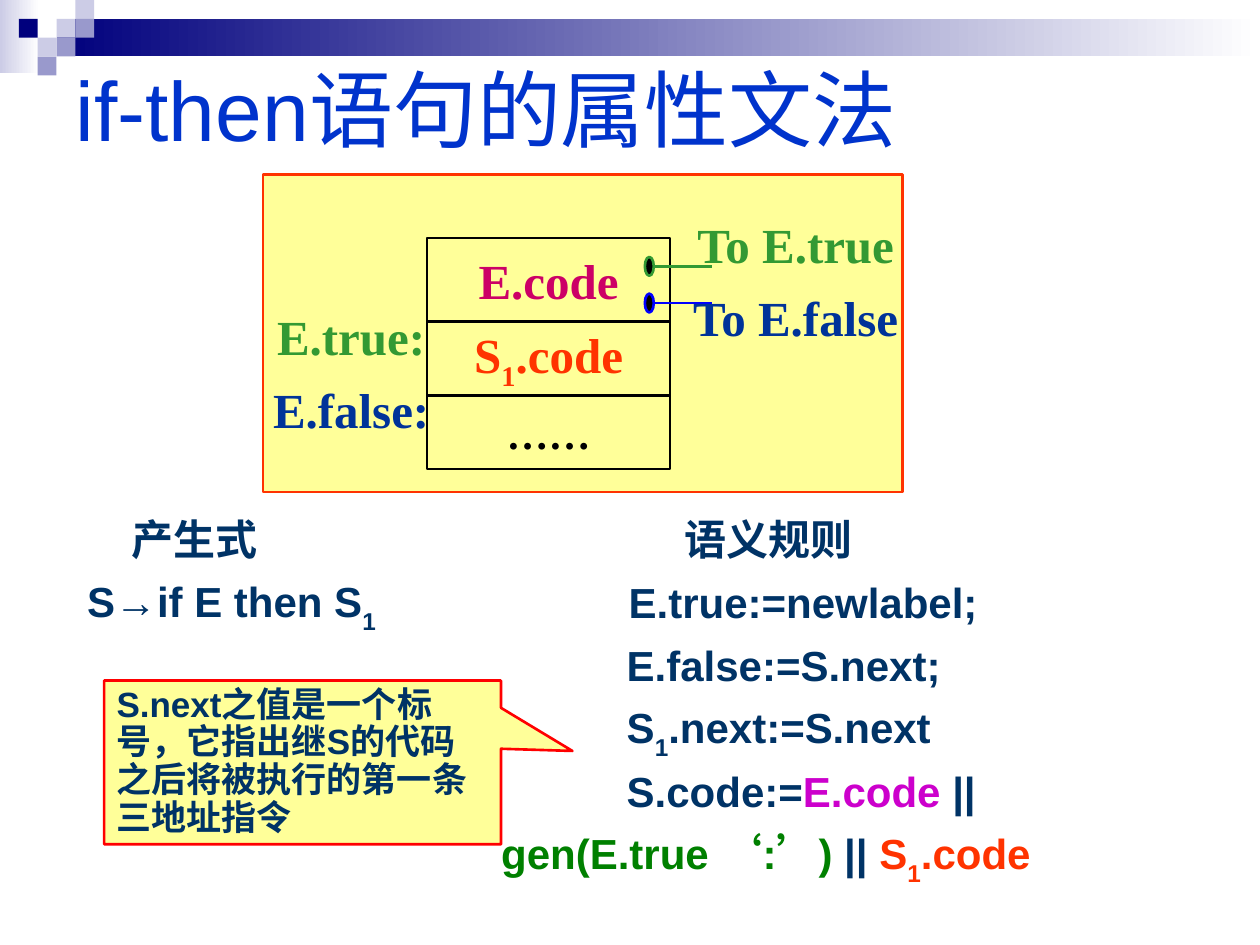
from lxml import etree
from pptx import Presentation
from pptx.dml.color import RGBColor
from pptx.enum.shapes import MSO_CONNECTOR, MSO_SHAPE
from pptx.enum.text import MSO_ANCHOR, MSO_AUTO_SIZE, PP_ALIGN
from pptx.oxml.ns import qn
from pptx.util import Cm, Pt

RECT, OVAL = MSO_SHAPE.RECTANGLE, MSO_SHAPE.OVAL
CALLOUT = MSO_SHAPE.RECTANGULAR_CALLOUT
STRAIGHT = MSO_CONNECTOR.STRAIGHT
TOP, MIDDLE = MSO_ANCHOR.TOP, MSO_ANCHOR.MIDDLE
LEFT, CENTER = PP_ALIGN.LEFT, PP_ALIGN.CENTER
NO_FIT = MSO_AUTO_SIZE.NONE

NAVY = RGBColor(0x00, 0x00, 0x7D)
LAVENDER = RGBColor(0xCC, 0xCC, 0xE6)
PERIWINKLE = RGBColor(0x99, 0x99, 0xCC)
WHITE = RGBColor(0xFF, 0xFF, 0xFF)
BLACK = RGBColor(0x00, 0x00, 0x00)
TITLE_BLUE = RGBColor(0x00, 0x33, 0xCC)
BODY_BLUE = RGBColor(0x00, 0x33, 0x66)
FALSE_BLUE = RGBColor(0x00, 0x33, 0x99)
JUMP_BLUE = RGBColor(0x00, 0x00, 0xFF)
TRUE_GREEN = RGBColor(0x33, 0x99, 0x33)
GEN_GREEN = RGBColor(0x00, 0x80, 0x00)
MAGENTA = RGBColor(0xCC, 0x00, 0xCC)
CRIMSON = RGBColor(0xCC, 0x00, 0x66)
ORANGE = RGBColor(0xFF, 0x33, 0x00)
RED = RGBColor(0xFF, 0x00, 0x00)
YELLOW = RGBColor(0xFF, 0xFF, 0x99)

SANS, SERIF, CJK = "Arial", "Times New Roman", "Noto Sans CJK SC"
BODY_FONT = {"name": SANS, "size": Pt(24), "bold": True}
NOTE_FONT = {"name": SANS, "size": Pt(20), "bold": True}
CODE_FONT = {"name": SERIF, "size": Pt(28), "bold": True}
DOTS_FONT = {"name": SERIF, "size": Pt(24), "bold": True}
TITLE_FONT = {"name": SANS, "size": Pt(48), "bold": False}
QUOTE_FONT = {"name": CJK}
SUB = {"baseline": -30}
SUB_LIFT = 4.5  # points by which a subscript raises its fixed-height line

# Each line is (indent in cm, runs); a run is (text, colour, format changes).
PRODUCTION = [
    (1.15, [("产生式", BODY_BLUE, {})]),
    (0.25, [("S→if E then S", BODY_BLUE, {}), ("1", BODY_BLUE, SUB)]),
]
RULES = [
    (3.7, [("语义规则", BODY_BLUE, {})]),
    (2.57, [("E.true:=newlabel;", BODY_BLUE, {})]),
    (2.53, [("E.false:=S.next;", BODY_BLUE, {})]),
    (2.53, [("S", BODY_BLUE, {}), ("1", BODY_BLUE, SUB),
            (".next:=S.next", BODY_BLUE, {})]),
    (2.53, [("S.code:=", BODY_BLUE, {}), ("E.code", MAGENTA, {}),
            (" ||", BODY_BLUE, {})]),
    (0, [("gen(E.true ", GEN_GREEN, {}), ("‘", GEN_GREEN, QUOTE_FONT),
         (":", GEN_GREEN, {}), ("’", GEN_GREEN, QUOTE_FONT),
         (")", GEN_GREEN, {}), (" || ", BODY_BLUE, {}), ("S", ORANGE, {}),
         ("1", ORANGE, SUB), (".code", ORANGE, {})]),
]


def set_values(target, values):
    for name, value in values.items():
        setattr(target, name, value)


def place(shape, left, top, width, height):
    set_values(shape, {"left": Cm(left), "top": Cm(top),
                       "width": Cm(width), "height": Cm(height)})


def add_runs(paragraph, runs, base_font):
    for text, color, changes in runs:
        run = paragraph.add_run()
        run.text = text
        values = {**base_font, **changes}
        baseline = values.pop("baseline", 0)
        set_values(run.font, values)
        run.font.color.rgb = color
        properties = run.font._element
        if baseline:
            properties.set("baseline", str(baseline * 1000))
        east_asian = SERIF if values["name"] == SERIF else CJK
        etree.SubElement(properties, qn("a:ea"), typeface=east_asian)


def add_shape(slide, kind, box, fill=None, line=None):
    """Draw a preset shape; a pair of fill colours makes a gradient."""
    shape = slide.shapes.add_shape(kind, *map(Cm, box))
    shape.shadow.inherit = False
    if isinstance(fill, list):
        shape.fill.gradient()
        shape.fill.gradient_angle = 0
        for stop, color in zip(shape.fill.gradient_stops, fill):
            stop.color.rgb = color
    elif fill is None:
        shape.fill.background()
    else:
        shape.fill.solid()
        shape.fill.fore_color.rgb = fill
    if line is None:
        shape.line.fill.background()
    else:
        shape.line.color.rgb = line
        shape.line.width = Pt(1.5)
    return shape


def write_centered(shape, runs, font):
    set_values(shape.text_frame, {"word_wrap": False,
                                  "vertical_anchor": MIDDLE})
    paragraph = shape.text_frame.paragraphs[0]
    paragraph.alignment = CENTER
    add_runs(paragraph, runs, font)


def add_label(slide, center, top, text, color):
    width = 5
    label = slide.shapes.add_textbox(Cm(center - width / 2), Cm(top),
                                     Cm(width), Cm(1.3))
    write_centered(label, [(text, color, {})], CODE_FONT)


def add_jump(slide, middle, color):
    """Draw an exit point of E.code with its line to the right."""
    line = slide.shapes.add_connector(STRAIGHT, Cm(13.16), Cm(middle),
                                      Cm(14.35), Cm(middle))
    line.line.color.rgb = color
    line.line.width = Pt(1.5)
    etree.SubElement(line._element.spPr, qn("a:effectLst"))
    add_shape(slide, OVAL, (13, middle - 0.19, 0.18, 0.38), BLACK, color)


def fill_column(column, box, lines):
    """Write evenly spaced lines, evening out the lift of subscripts."""
    place(column, *box)
    frame = column.text_frame
    set_values(frame, {"auto_size": NO_FIT, "word_wrap": True,
                       "vertical_anchor": TOP})
    last_lift = 0
    for number, (indent, runs) in enumerate(lines):
        paragraph = frame.add_paragraph() if number else frame.paragraphs[0]
        lift = SUB_LIFT if any(run[2] is SUB for run in runs) else 0
        before = 6 + lift - last_lift if number else 0
        last_lift = lift
        set_values(paragraph, {"alignment": LEFT, "line_spacing": Pt(30),
                               "space_before": Pt(before)})
        properties = paragraph._p.get_or_add_pPr()
        properties.set("marL", str(Cm(indent)))
        properties.set("indent", "0")
        etree.SubElement(properties, qn("a:buNone"))
        add_runs(paragraph, runs, BODY_FONT)


def add_title(slide):
    title = slide.shapes.title
    place(title, 1.27, 0.71, 22.86, 2.95)
    set_values(title.text_frame, {"auto_size": NO_FIT, "word_wrap": True,
                                  "vertical_anchor": MIDDLE})
    paragraph = title.text_frame.paragraphs[0]
    paragraph.alignment = LEFT
    add_runs(paragraph, [("if-then语句的属性文法", TITLE_BLUE, {})], TITLE_FONT)


def add_header(slide):
    add_shape(slide, RECT, (0, 0, 0.79, 1.47), [LAVENDER, WHITE])
    add_shape(slide, RECT, (1.14, 0.38, 24.26, 0.76), [NAVY, WHITE])
    side = 0.38
    tiles = [(3, 1, LAVENDER), (4, 0, LAVENDER), (4, 1, PERIWINKLE),
             (2, 2, LAVENDER), (1, 1, NAVY), (3, 2, PERIWINKLE),
             (2, 3, PERIWINKLE)]
    for column, row, color in tiles:
        add_shape(slide, RECT, (column * side, row * side, side, side), color)


def add_code_layout(slide):
    add_shape(slide, RECT, (5.3, 3.52, 12.9, 6.4), YELLOW, ORANGE)
    blocks = [
        (1.68, [("E.code", CRIMSON, {})], CODE_FONT),
        (1.49, [("S", ORANGE, {}), ("1", ORANGE, {"baseline": -25}),
                (".code", ORANGE, {})], CODE_FONT),
        (1.49, [("……", BLACK, {})], DOTS_FONT),
    ]
    top = 4.8
    for height, runs, font in blocks:
        block = add_shape(slide, RECT, (8.61, top, 4.9, height), line=BLACK)
        write_centered(block, runs, font)
        top += height
    add_jump(slide, 5.37, TRUE_GREEN)
    add_jump(slide, 6.11, JUMP_BLUE)
    labels = [(16.04, 4.27, "To E.true", TRUE_GREEN),
              (16.04, 5.74, "To E.false", FALSE_BLUE),
              (7.08, 6.12, "E.true:", TRUE_GREEN),
              (7.08, 7.59, "E.false:", FALSE_BLUE)]
    for label in labels:
        add_label(slide, *label)


def add_note(slide):
    note = add_shape(slide, CALLOUT, (2.1, 13.72, 8, 3.3), YELLOW, RED)
    note.adjustments[0], note.adjustments[1] = 0.68, -0.07
    set_values(note.text_frame, {"word_wrap": True, "vertical_anchor": TOP})
    paragraph = note.text_frame.paragraphs[0]
    set_values(paragraph, {"alignment": LEFT, "line_spacing": 0.9})
    paragraph._p.get_or_add_pPr().set("hangingPunct", "0")
    text = "S.next之值是一个标号，它指出继S的代码之后将被执行的第一条三地址指令"
    add_runs(paragraph, [(text, BODY_BLUE, {})], NOTE_FONT)


def main():
    presentation = Presentation()
    presentation.slide_width, presentation.slide_height = Cm(25.4), Cm(19.05)
    two_columns = presentation.slide_layouts[3]
    slide = presentation.slides.add_slide(two_columns)
    add_header(slide)
    add_title(slide)
    production, rules = slide.placeholders[1], slide.placeholders[2]
    fill_column(production, (1.25, 10.19, 8.5, 3.2), PRODUCTION)
    fill_column(rules, (9.85, 10.19, 14.26, 8), RULES)
    add_code_layout(slide)
    add_note(slide)
    presentation.save("out.pptx")


if __name__ == "__main__":
    main()
